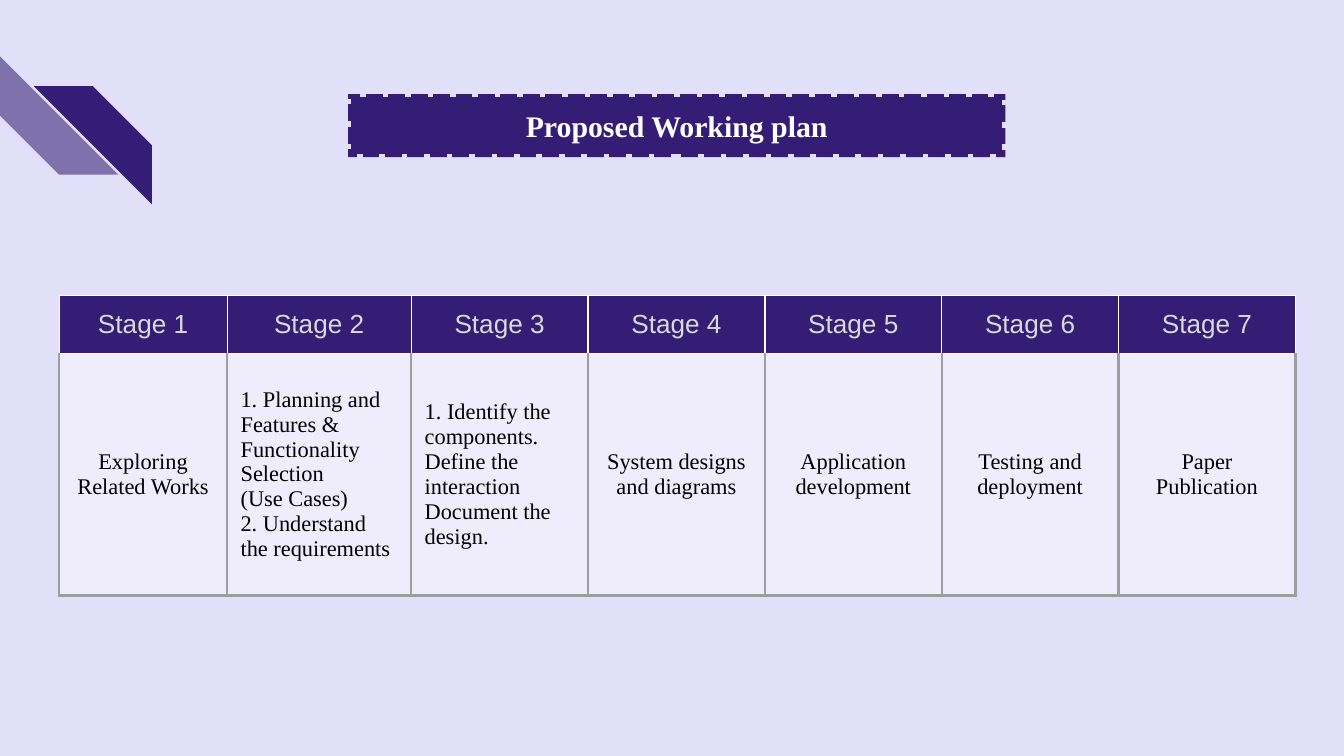
import pptx
import pptx.dml.color
import pptx.enum.dml
import pptx.enum.shapes
import pptx.enum.text
import pptx.oxml
import pptx.oxml.ns
import pptx.util
from lxml import etree

Inches = pptx.util.Inches
Pt = pptx.util.Pt
PP_ALIGN = pptx.enum.text.PP_ALIGN
MIDDLE = pptx.enum.text.MSO_ANCHOR.MIDDLE

COLORS = {
    "background": "E2DFF8",
    "primary": "351C75",
    "stripe": "7F71AC",
    "header_text": "D9D9D9",
    "body_text": "000000",
    "white": "FFFFFF",
    "grid": "9E9E9E",
}
HEADER_FONT = {"name": "Arial", "size": Pt(14), "bold": False}
BODY_FONT = {"name": "Times New Roman", "size": Pt(12), "bold": False}
TITLE_FONT = {"name": "Times New Roman", "size": Pt(16), "bold": True}
MARGINS = {f"margin_{side}": Inches(0.1) for side in ("left", "right", "top", "bottom")}
HEADER_BORDERS = {side: ("white", 0.75) for side in "LRTB"}
BODY_BORDERS = {**{side: ("grid", 1.5) for side in "LRB"}, "T": ("white", 0.75)}

FIRST_WIDTHS = [Inches(1.25), Inches(1.37)]
STAGES = [
    (PP_ALIGN.CENTER, ["Exploring Related Works"]),
    (PP_ALIGN.LEFT, [
        "1. Planning and Features & Functionality Selection",
        "(Use Cases)",
        "2. Understand the requirements",
    ]),
    (PP_ALIGN.LEFT, [
        "1. Identify the components.",
        "Define the interaction",
        "Document the design.",
    ]),
    (PP_ALIGN.CENTER, ["System designs and diagrams"]),
    (PP_ALIGN.CENTER, ["Application development"]),
    (PP_ALIGN.CENTER, ["Testing and deployment"]),
    (PP_ALIGN.CENTER, ["Paper Publication"]),
]


def rgb(name):
    """Return the palette colour of that name."""
    return pptx.dml.color.RGBColor.from_string(COLORS[name])


def set_all(target, values):
    """Set every attribute in a dict of format values."""
    for key, value in values.items():
        setattr(target, key, value)


def paint(target, color):
    """Give a shape or cell a solid fill."""
    target.fill.solid()
    target.fill.fore_color.rgb = rgb(color)


def write(frame, lines, align, font, color):
    """Write one formatted paragraph for each line of text."""
    frame.text = "\n".join(lines)
    for paragraph in frame.paragraphs:
        paragraph.alignment = align
        for run in paragraph.runs:
            set_all(run.font, font)
            run.font.color.rgb = rgb(color)


def add_borders(cell, borders):
    """Draw the four borders of a table cell."""
    properties = cell._tc.get_or_add_tcPr()
    for side in "LRTB":
        color, width = borders[side]
        properties.append(pptx.oxml.parse_xml(
            f'<a:ln{side} {pptx.oxml.ns.nsdecls("a")} w="{Pt(width)}">'
            f'<a:solidFill><a:srgbClr val="{COLORS[color]}"/></a:solidFill>'
            f'<a:prstDash val="solid"/></a:ln{side}>'))


def format_cell(cell, lines, align, font, color, borders, fill):
    """Fill one table cell with text, borders and colour."""
    write(cell.text_frame, lines, align, font, color)
    set_all(cell, {**MARGINS, "vertical_anchor": MIDDLE})
    add_borders(cell, borders)
    paint(cell, fill)


def add_corner_stripes(slide, left, top):
    """Place the two diagonal stripes at the corner."""
    size = Inches(0.88)
    stripes = [(0, 0, "stripe", 270, False), (0.25, 0.22, "primary", 0, True)]
    for dx, dy, color, rotation, flipped in stripes:
        stripe = slide.shapes.add_shape(
            pptx.enum.shapes.MSO_SHAPE.DIAGONAL_STRIPE,
            left + Inches(dx), top + Inches(dy), size, size)
        stripe.adjustments[0] = 0.5
        stripe.rotation = rotation
        stripe.shadow.inherit = False
        stripe.line.fill.background()
        paint(stripe, color)
        if flipped:
            stripe.element.spPr.xfrm.set("flipH", "1")


def add_title(slide, left, top, width, height):
    """Turn the title placeholder into a dotted banner."""
    title = slide.shapes.title
    set_all(title, {"left": left, "top": top, "width": width, "height": height})
    paint(title, "primary")
    title.line.color.rgb = rgb("background")
    title.line.width = Pt(3)
    title.line.dash_style = pptx.enum.dml.MSO_LINE.ROUND_DOT
    title.element.spPr.find(".//" + pptx.oxml.ns.qn("a:prstDash")).set("val", "dot")
    set_all(title.text_frame, {
        **MARGINS, "vertical_anchor": MIDDLE, "word_wrap": True,
        "auto_size": pptx.enum.text.MSO_AUTO_SIZE.NONE})
    write(title.text_frame, ["Proposed Working plan"], PP_ALIGN.CENTER, TITLE_FONT, "white")


def add_plan(slide, left, top, width, header_height, body_height):
    """Build the table of stages and their work."""
    plan = slide.shapes.add_table(
        2, len(STAGES), left, top, width, header_height + body_height).table
    set_all(plan, {"first_row": False, "horz_banding": False})
    plan.rows[0].height, plan.rows[1].height = header_height, body_height
    equal_count = len(STAGES) - len(FIRST_WIDTHS)
    equal_width = (width - sum(FIRST_WIDTHS)) // equal_count
    column_widths = FIRST_WIDTHS + [equal_width] * equal_count
    for index, (align, lines) in enumerate(STAGES):
        plan.columns[index].width = column_widths[index]
        format_cell(plan.cell(0, index), [f"Stage {index + 1}"], PP_ALIGN.CENTER,
                    HEADER_FONT, "header_text", HEADER_BORDERS, "primary")
        work = plan.cell(1, index)
        format_cell(work, lines, align, BODY_FONT, "body_text", BODY_BORDERS, "white")
        fill_color = work._tc.tcPr.find(
            pptx.oxml.ns.qn("a:solidFill") + "/" + pptx.oxml.ns.qn("a:srgbClr"))
        etree.SubElement(fill_color, pptx.oxml.ns.qn("a:alpha"), val="45000")


def main():
    """Build and save the working plan slide."""
    presentation = pptx.Presentation()
    presentation.slide_width = Inches(10)
    presentation.slide_height = Inches(10) * 9 // 16
    slide = presentation.slides.add_slide(presentation.slide_layouts[5])
    paint(slide.background, "background")
    add_corner_stripes(slide, Inches(0), Inches(0.42))
    add_plan(slide, Inches(0.44), Inches(2.2), Inches(9.2), Inches(0.43), Inches(1.8))
    add_title(slide, Inches(2.59), Inches(0.7), Inches(4.89), Inches(0.47))
    presentation.save("out.pptx")


if __name__ == "__main__":
    main()
